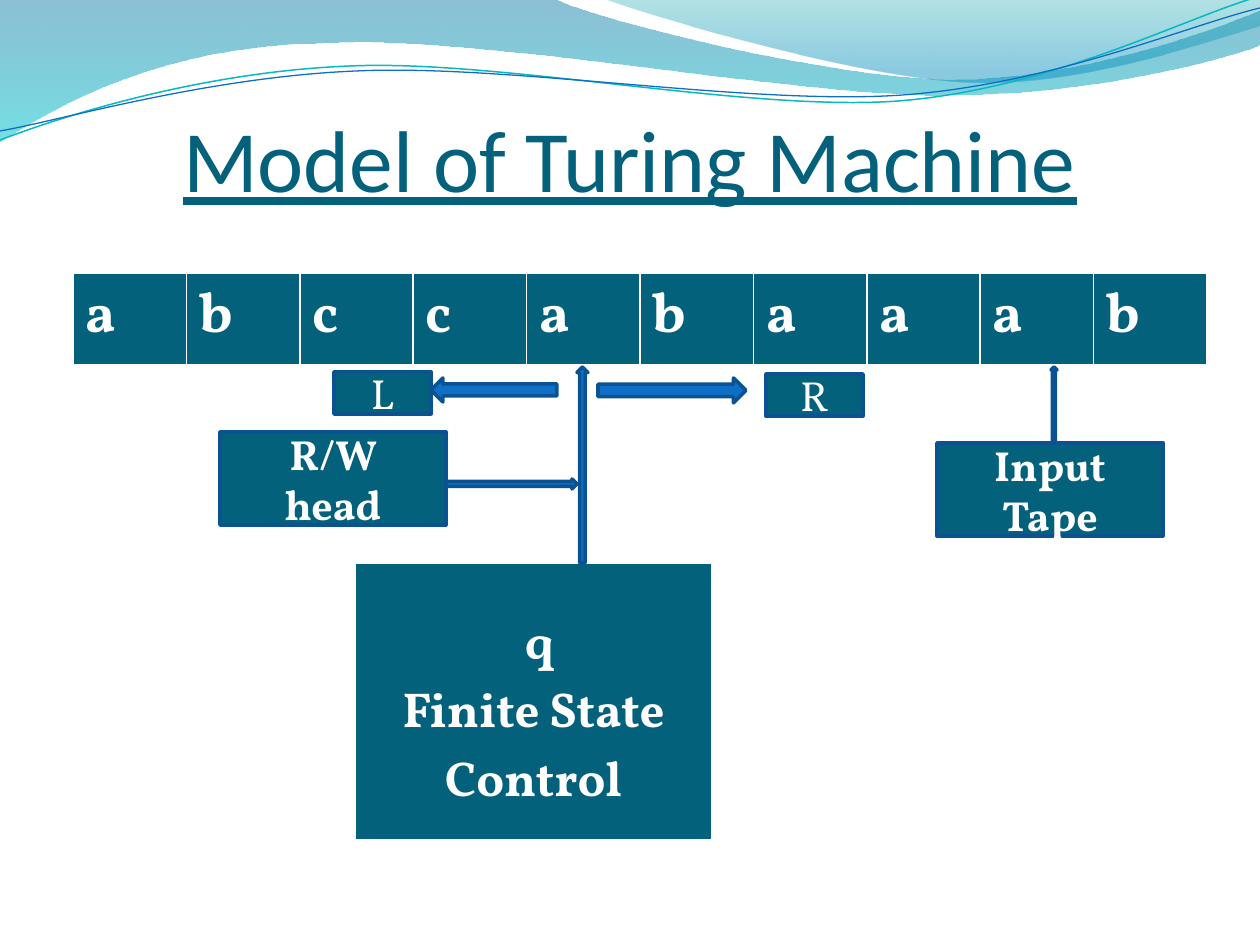
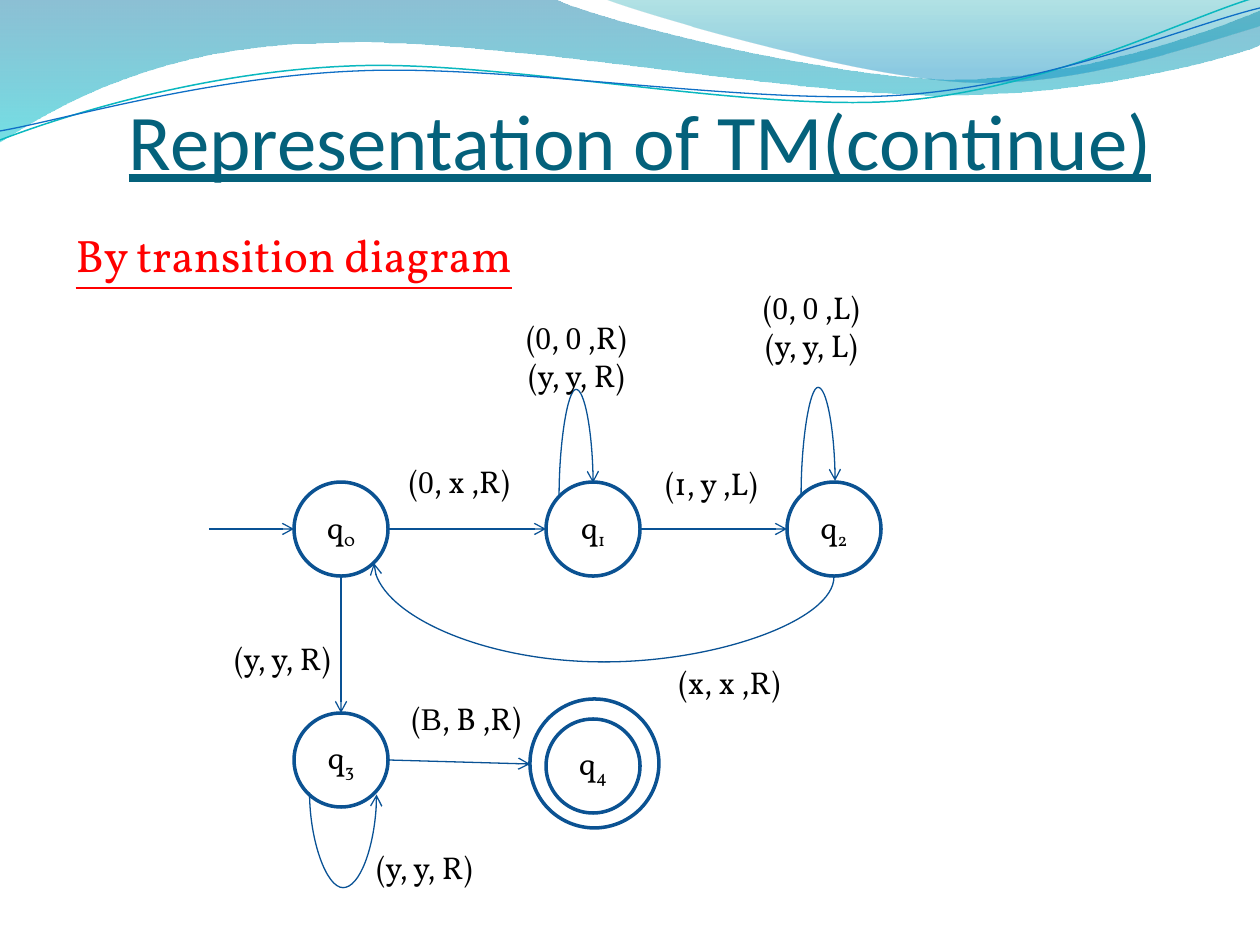
from lxml.etree import SubElement
from pptx import Presentation
from pptx.dml.color import RGBColor
from pptx.enum.shapes import MSO_CONNECTOR, MSO_SHAPE
from pptx.enum.text import MSO_ANCHOR, MSO_AUTO_SIZE, PP_ALIGN
from pptx.oxml.ns import qn
from pptx.util import Inches, Pt

RECT, OVAL = MSO_SHAPE.RECTANGLE, MSO_SHAPE.OVAL
UP, LEFT, RIGHT = MSO_SHAPE.UP_ARROW, MSO_SHAPE.LEFT_ARROW, MSO_SHAPE.RIGHT_ARROW
LINE, CURVE = MSO_CONNECTOR.STRAIGHT, MSO_CONNECTOR.CURVE
MID, LOW = MSO_ANCHOR.MIDDLE, MSO_ANCHOR.BOTTOM
START, MIDST = PP_ALIGN.LEFT, PP_ALIGN.CENTER
FIXED = MSO_AUTO_SIZE.NONE

SCALE = 914400 / 126
SERIF, SANS, TIMES = "Vollkorn", "Calibri", "Times New Roman"
HUES = {
    "teal": "04617B", "blue": "0F6FC6", "edge": "0B5292", "link": "095295",
    "aqua": "0AB8BF", "white": "FFFFFF", "black": "000000", "red": "FF0000",
    "deep": "0074A1", "cyan": "00C6CF", "sea": "00A1A9", "sky": "008BBF",
}
RGB = {name: RGBColor.from_string(code) for name, code in HUES.items()}


def span(*sizes):
    return [round(size * SCALE) for size in sizes]


def write(frame, text, size, hue, bold=None, face=SERIF, align=MIDST):
    frame.text = text.replace("|", "")
    for para, line in zip(frame.paragraphs, text.split("\n")):
        para.alignment = align
        if "|" in line:
            para.clear()
            for part in line.split("|"):
                para.add_run().text = part
        for run in para.runs:
            run.font.name = face
            run.font.size = Pt(size)
            run.font.bold = bold
            run.font.color.rgb = RGB[hue]


deck = Presentation()
deck.slide_width, deck.slide_height = Inches(10), Inches(7.5)
model = deck.slides.add_slide(deck.slide_layouts[5])
graph = deck.slides.add_slide(deck.slide_layouts[1])

WAVES = [
    ([(0, 0), (554, -1), (600, 21, 837, 79, 955, 79), (1075, 79, 1207, 33, 1260, 11),
      (1261, 45), (1239, 55, 1096, 96, 940, 95), (784, 95, 481, 35, 324, 43),
      (163, 45, 58, 105, -1, 142), (0, 0)], [(0, "deep", 45), (1, "cyan", 55)], None),
    ([(604, -1), (641, 14, 859, 78, 969, 82), (1079, 87, 1211, 40, 1260, 26),
      (1260, 0), (604, -1)], [(0, "sea", 30), (0.8, "sky", 45)], None),
    ([(0, 140), (60, 117, 199, 72, 349, 66), (498, 59, 747, 112, 898, 101),
      (1050, 89, 1182, 19, 1257, -3)], None, ("aqua", 0.85)),
    ([(0, 131), (59, 121, 207, 77, 357, 71), (508, 64, 752, 106, 903, 95),
      (1053, 84, 1186, 26, 1260, 8)], None, ("blue", 0.75)),
]
for rank, (route, stops, pen) in enumerate(WAVES):
    draft = model.shapes.build_freeform(*span(*route[0]))
    for step in route[1:]:
        dots = [span(*step[i:i + 2]) for i in range(0, len(step), 2)]
        draft.add_line_segments(dots, close=False)
    if stops:
        draft.add_line_segments([], close=True)
    wave = draft.convert_to_shape()
    legs = iter(list(wave.element.iter(qn("a:lnTo"))))
    for step in route[1:]:
        leg = next(legs)
        if len(step) == 6:
            bow = leg.makeelement(qn("a:cubicBezTo"))
            leg.addprevious(bow)
            for knot in (leg, next(legs), next(legs)):
                bow.append(knot[0])
                knot.getparent().remove(knot)
    wave.shadow.inherit = False
    if stops:
        wave.fill.gradient()
        wave.fill.gradient_angle = 270
        for stop, (place, hue, alpha) in zip(wave.fill.gradient_stops, stops):
            stop.position = place
            stop.color.rgb = RGB[hue]
        for tint, (place, hue, alpha) in zip(wave.element.iter(qn("a:srgbClr")), stops):
            SubElement(tint, qn("a:alpha")).set("val", str(alpha * 1000))
        wave.line.fill.background()
    else:
        wave.fill.background()
        wave.line.color.rgb = RGB[pen[0]]
        wave.line.width = Pt(pen[1])
    deck.slide_master.shapes.element.insert(2 + rank, wave.element)

for slide, text, size, left, top in [
    (model, "Model of Turing Machine", 50, 63, 97),
    (graph, "Representation of TM(continue)", 45, 73, 73),
]:
    title = slide.shapes.title
    title.left, title.top, title.width, title.height = span(left, top, 1134, 113)
    frame = title.text_frame
    frame.auto_size, frame.vertical_anchor = FIXED, LOW
    frame.margin_left = frame.margin_right = frame.margin_bottom = 0
    write(frame, text, size, "teal", face=SANS)
    frame.paragraphs[0].runs[0].font.underline = True

for area, words, size, top, align, shift in [
    ((73, 273, 1134, 93), "abccabaaab", 32, 6, START, 0),
    ((355, 563, 357, 278), ["q\nFinite State Control"], 28, 50, MIDST, 12),
]:
    tape = model.shapes.add_table(1, len(words), *span(*area)).table
    for cell, word in zip(tape.rows[0].cells, words):
        cell.margin_top = span(top)[0]
        write(cell.text_frame, word, size, "white", True, align=align)
        lead = cell.text_frame.paragraphs[0]._p.get_or_add_pPr()
        lead.set("indent", str(span(shift)[0]))
        props = cell._tc.get_or_add_tcPr()
        for side, width in [("L", 1), ("R", 1), ("T", 1), ("B", 3)]:
            rule = SubElement(props, qn("a:ln" + side), w=str(Pt(width)))
            paint = SubElement(rule, qn("a:solidFill"))
            SubElement(paint, qn("a:srgbClr")).set("val", HUES["white"])
        cell.fill.solid()
        cell.fill.fore_color.rgb = RGB["teal"]

for kind, area, text, bold in [
    (UP, (577, 367, 11, 196), "", None),
    (UP, (1051, 367, 6, 74), "", None),
    (RIGHT, (446, 479, 131, 10), "", None),
    (RECT, (220, 432, 226, 93), "R/W head", True),
    (RIGHT, (598, 378, 148, 25), "", None),
    (LEFT, (431, 378, 126, 24), "", None),
    (RECT, (334, 372, 97, 42), "L", None),
    (RECT, (766, 374, 97, 42), "R", None),
    (RECT, (937, 443, 226, 93), "Input Tape", True),
]:
    part = model.shapes.add_shape(kind, *span(*area))
    part.shadow.inherit = False
    part.fill.solid()
    part.fill.fore_color.rgb = RGB["teal" if text else "blue"]
    part.line.color.rgb = RGB["edge"]
    part.line.width = Pt(2)
    if text:
        frame = part.text_frame
        frame.vertical_anchor = MID
        frame.margin_left = frame.margin_right = span(24)[0]
        write(frame, text, 24, "white", bold)

body = graph.placeholders[1]
body.left, body.top, body.width, body.height = span(63, 221, 1134, 703)
body.text_frame.auto_size = FIXED
write(body.text_frame, "By transition diagram", 26, "red", align=START)
para = body.text_frame.paragraphs[0]
para.space_before = Pt(5)
para.runs[0].font.underline = True
props = para._p.get_or_add_pPr()
props.set("marL", "0")
props.set("indent", "0")
SubElement(props, qn("a:buNone"))

nodes = {}
for name, left, top, size in [
    ("q|0", 294, 482, 94), ("q|1", 546, 482, 94), ("q|2", 787, 482, 94),
    ("q|3", 294, 713, 94), ("q|4", 546, 719, 94), ("ring", 530, 699, 129),
]:
    node = graph.shapes.add_shape(OVAL, *span(left, top, size, size))
    node.shadow.inherit = False
    node.fill.background()
    node.line.color.rgb = RGB["edge"]
    node.line.width = Pt(2)
    nodes[name.replace("|", "")] = node.shape_id
    if name != "ring":
        node.text_frame.vertical_anchor = MID
        write(node.text_frame, name, 18, "black")
        node.text_frame.paragraphs[0].runs[1]._r.get_or_add_rPr().set("baseline", "-25000")

for kind, ends, tail, head, turn, bend in [
    (LINE, (209, 529, 294, 529), None, ("q0", 2), 0, None),
    (LINE, (388, 529, 546, 529), ("q0", 6), ("q1", 2), 0, None),
    (LINE, (640, 529, 787, 529), ("q1", 6), ("q2", 2), 0, None),
    (LINE, (388, 760, 530, 764), ("q3", 6), ("ring", 2), 0, None),
    (LINE, (341, 576, 341, 713), ("q0", 4), ("q3", 0), 0, None),
    (CURVE, (583, 507, 569, 473), ("q1", 1), ("q1", 0), 90, 7.69),
    (CURVE, (825, 505, 811, 471), ("q2", 1), ("q2", 0), 90, 7.69),
    (CURVE, (611, 340, 597, 800), ("q2", 4), ("q0", 5), 90, -6.07),
    (CURVE, (344, 760, 342, 827), ("q3", 3), ("q3", 5), 270, 48),
]:
    link = graph.shapes.add_connector(kind, *span(*ends))
    link.rotation = turn
    link.line.color.rgb = RGB["link"]
    link.line.width = Pt(0.75)
    root = link.element
    SubElement(root.find(".//" + qn("a:ln")), qn("a:tailEnd")).set("type", "arrow")
    SubElement(root.spPr, qn("a:effectLst"))
    for tag, mate in [("a:stCxn", tail), ("a:endCxn", head)]:
        if mate:
            SubElement(root.find(".//" + qn("p:cNvCxnSpPr")), qn(tag),
                       id=str(nodes[mate[0]]), idx=str(mate[1]))
    if bend:
        SubElement(root.find(".//" + qn("a:avLst")), qn("a:gd"),
                   name="adj1", fmla=f"val {round(bend * 100000)}")

for left, top, high, text in [
    (389, 444, 73, "(|0|, x ,R)"),
    (506, 303, 105, "(|0|, |0| ,R)\n(y, y, R)"),
    (741, 273, 105, "(|0|, |0| ,L)\n(y, y, L)"),
    (354, 830, 73, "(y, y, R)"),
    (396, 681, 73, "(|B|, B ,R)"),
    (641, 446, 73, "(1, y ,L)"),
    (659, 645, 73, "(x, x ,R)"),
    (212, 621, 73, "(y, y, R)"),
]:
    frame = graph.shapes.add_textbox(*span(left, top, 141, high)).text_frame
    frame.word_wrap, frame.vertical_anchor = True, MID
    write(frame, text, 18, "black")
    for para in frame.paragraphs:
        for run in para.runs[1::2]:
            run.font.name = TIMES

deck.save("out.pptx")
